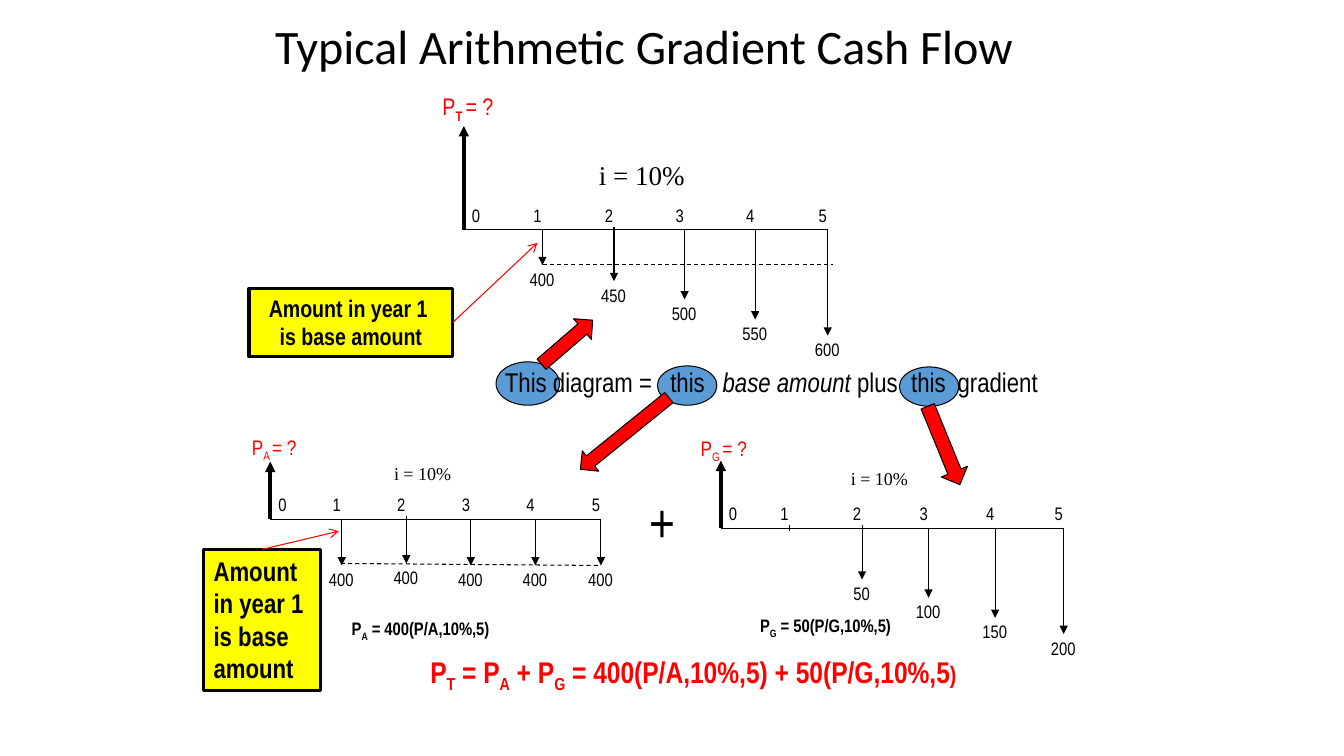
from lxml import etree
from pptx import Presentation
from pptx import util as u
from pptx.dml.color import RGBColor
from pptx.enum import dml, shapes, text
from pptx.oxml.ns import qn

BLACK = RGBColor(0x00, 0x00, 0x00)
RED = RGBColor(0xFF, 0x00, 0x00)
BLUE = RGBColor(0x5B, 0x9B, 0xD5)
YELLOW = RGBColor(0xFF, 0xFF, 0x00)
NARROW, SERIF = "Arial Narrow", "Times New Roman"

WIDE, HIGH = u.Inches(13.33), u.Inches(7.5)
COLS, ROWS = 1333, 750
SUB = {"base": -25}


def grid(*cells):
    """Turn column, row pairs of the slide grid into lengths."""
    units = (WIDE / COLS, HIGH / ROWS)
    return [round(cell * units[n % 2]) for n, cell in enumerate(cells)]


def style(run, size, font=NARROW, color=BLACK, bold=False, italic=False, base=0):
    face = run.font
    face.size, face.name = u.Pt(size), font
    face.bold, face.italic = bold, italic
    face.color.rgb = color
    if base:
        run._r.get_or_add_rPr().set("baseline", str(base * 1000))


def write(frame, lines, align=text.PP_ALIGN.LEFT, tabs=(), **form):
    """Fill a frame; a line is a string or a list of (words, changes)."""
    for n, line in enumerate(lines):
        para = frame.add_paragraph() if n else frame.paragraphs[0]
        para.alignment = align
        if tabs:
            stops = etree.SubElement(para._p.get_or_add_pPr(), qn("a:tabLst"))
            for tab in tabs:
                etree.SubElement(stops, qn("a:tab"), pos=str(grid(tab)[0]), algn="l")
        for words, change in [(line, {})] if isinstance(line, str) else line:
            run = para.add_run()
            run.text = words
            style(run, **{**form, **change})


def label(page, box, line, wrap=False, inset=10, low=False, **form):
    frame = page.shapes.add_textbox(*grid(*box)).text_frame
    frame.word_wrap = wrap
    frame.margin_left = grid(inset)[0]
    if low:
        frame.vertical_anchor = text.MSO_ANCHOR.BOTTOM
    write(frame, [line], **form)


def rule(page, start, end, color=BLACK, width=0.75, head=None, dash=False):
    line = page.shapes.add_connector(shapes.MSO_CONNECTOR.STRAIGHT, *grid(*start, *end))
    line.line.color.rgb, line.line.width = color, u.Pt(width)
    if dash:
        line.line.dash_style = dml.MSO_LINE.DASH
    if head:
        etree.SubElement(line.line._get_or_add_ln(), qn("a:tailEnd"), type=head)
    etree.SubElement(line._element.spPr, qn("a:effectLst"))
    return line


def block(page, kind, box, fill, width=0.75, turn=0):
    form = page.shapes.add_shape(kind, *grid(*box))
    form.shadow.inherit = False
    form.fill.solid()
    form.fill.fore_color.rgb = fill
    form.line.color.rgb, form.line.width = BLACK, u.Pt(width)
    form.rotation = turn
    return form


def title(page, box, words):
    head = page.shapes.title
    head.left, head.top, head.width, head.height = grid(*box)
    frame = head.text_frame
    frame.auto_size = text.MSO_AUTO_SIZE.NONE
    frame.vertical_anchor = text.MSO_ANCHOR.MIDDLE
    write(frame, [words], size=34.3, font="Calibri")
    frame.paragraphs[0].line_spacing = 0.9


def flow(page, box, name, size, axis, rise, rate, ticks, drops, sums):
    """Draw a cash flow; axis and rate count from the box, ticks from the axis."""
    left, top, wide, high = box
    zero, base = left + axis[0], top + axis[1]
    group = page.shapes.add_group_shape()
    rule(group, (zero, base), (zero, base - rise), width=2.5, head="triangle")
    label(group, (left, top, 94, high), name, wrap=True, size=size, color=RED)
    across, down, big = rate
    label(group, (left + across, top + down, big * 5 + 20, big * 1.6 + 11),
          "i = 10%", size=big, font=SERIF)
    for n, (tick, drop) in enumerate(zip(ticks, drops)):
        lift = 3 if n == 1 or not drop else 0
        rule(group, (zero + tick, base - lift), (zero + tick, base + (drop or 3)),
             head="triangle" if drop else None)
    rule(group, (zero + ticks[-1], base), (zero, base))
    label(group, (left, base - 34, wide, 35), "\t".join("012345"), wrap=True,
          low=True, inset=axis[0] + 8, tabs=[tick - 17 for tick in ticks], size=12.9)
    for tick, drop, total in zip(ticks, drops, sums):
        if total:
            label(page, (zero + tick - 23, base + drop - 2, 45, 32), str(total),
                  align=text.PP_ALIGN.CENTER, size=12.9)


def split(page, box):
    """Draw the sentence that splits the flow, with its discs and arrows."""
    left, top, wide, high = box
    for x, y, w, h in ((401, 6, 59, 39), (161, 5, 59, 39), (1, 1, 63, 43)):
        block(page, shapes.MSO_SHAPE.OVAL, (left + x, top + y, w, h), BLUE)
    line = [("This diagram =\tthis\t", {}), ("base amount ", {"italic": True}),
            ("plus\tthis\tgradient", {})]
    label(page, box, line, wrap=True, tabs=(164, 216, 403, 449), size=19.3)
    for x, y, w, h, turn in ((38, -32, 67, 27, 319.3), (72, 59, 113, 26, 141),
                             (403, 70, 84, 28, 67.7)):
        block(page, shapes.MSO_SHAPE.RIGHT_ARROW, (left + x, top + y, w, h), RED, turn=turn)


def note(page, box, side, start, end, lines, **form):
    """Draw a yellow note and the red arrow from one of its sides."""
    card = block(page, shapes.MSO_SHAPE.RECTANGLE, box, YELLOW, width=2.25)
    frame = card.text_frame
    frame.word_wrap = True
    frame.vertical_anchor = text.MSO_ANCHOR.TOP
    write(frame, lines, bold=True, **form)
    rule(page, start, end, color=RED, head="arrow").begin_connect(card, side)


def sums(page):
    for spot, sub, tail in (((339, 608, 157, 32), "A", " = 400(P/A,10%,5)"),
                            ((744, 605, 152, 32), "G", " = 50(P/G,10%,5)")):
        label(page, spot, [("P", {}), (sub, SUB), (tail, {})], size=12.9, bold=True)
    total = [("P", {}), ("T", SUB), (" = P", {}), ("A", SUB), (" + P", {}), ("G", SUB),
             (" = 400(P/A,10%,5) + 50(P/G,10%,5", {}), (")", {"size": 17.1})]
    label(page, (417, 643, 550, 46), total, size=21.4, color=RED, bold=True)


def main():
    deck = Presentation()
    deck.slide_width, deck.slide_height = WIDE, HIGH
    page = deck.slides.add_slide(deck.slide_layouts[5])

    title(page, (263, 0, 820, 98), "Typical Arithmetic Gradient Cash Flow")
    flow(page, (429, 86, 456, 39),
         [("P", {}), ("T ", {**SUB, "bold": True}), ("= ?", {})], 17.1,
         axis=(31, 142), rise=103, rate=(155, 66, 19.3),
         ticks=(78, 149, 219, 289, 361), drops=(35, 51, 69, 89, 105),
         sums=range(400, 601, 50))
    flow(page, (240, 426, 392, 35), [("P", {}), ("A ", SUB), ("= ?", {})], 15,
         axis=(28, 89), rise=57, rate=(141, 28, 12.9),
         ticks=(71, 135, 199, 263, 328), drops=(46, 44, 46, 46, 46), sums=[400] * 5)
    flow(page, (685, 427, 401, 35), [("P", {}), ("G ", SUB), ("= ?", {})], 15,
         axis=(30, 97), rise=67, rate=(149, 32, 12.9),
         ticks=(68, 140, 206, 272, 340), drops=(0, 51, 69, 89, 105),
         sums=range(0, 201, 50))
    label(page, (634, 480, 46, 75), "+", size=38.6)
    split(page, (491, 358, 560, 43))
    sums(page)
    rule(page, (538, 262), (826, 262), dash=True)
    rule(page, (338, 559), (596, 561), dash=True)
    note(page, (202, 545, 116, 140), 0, (260, 545), (336, 527),
         ["Amount in year 1", "is base amount"], size=19.3)
    note(page, (247, 286, 202, 68), 3, (449, 320), (533, 241),
         ["Amount in year 1 ", "is base amount"], size=17.1, align=text.PP_ALIGN.CENTER)
    deck.save("out.pptx")


if __name__ == "__main__":
    main()
